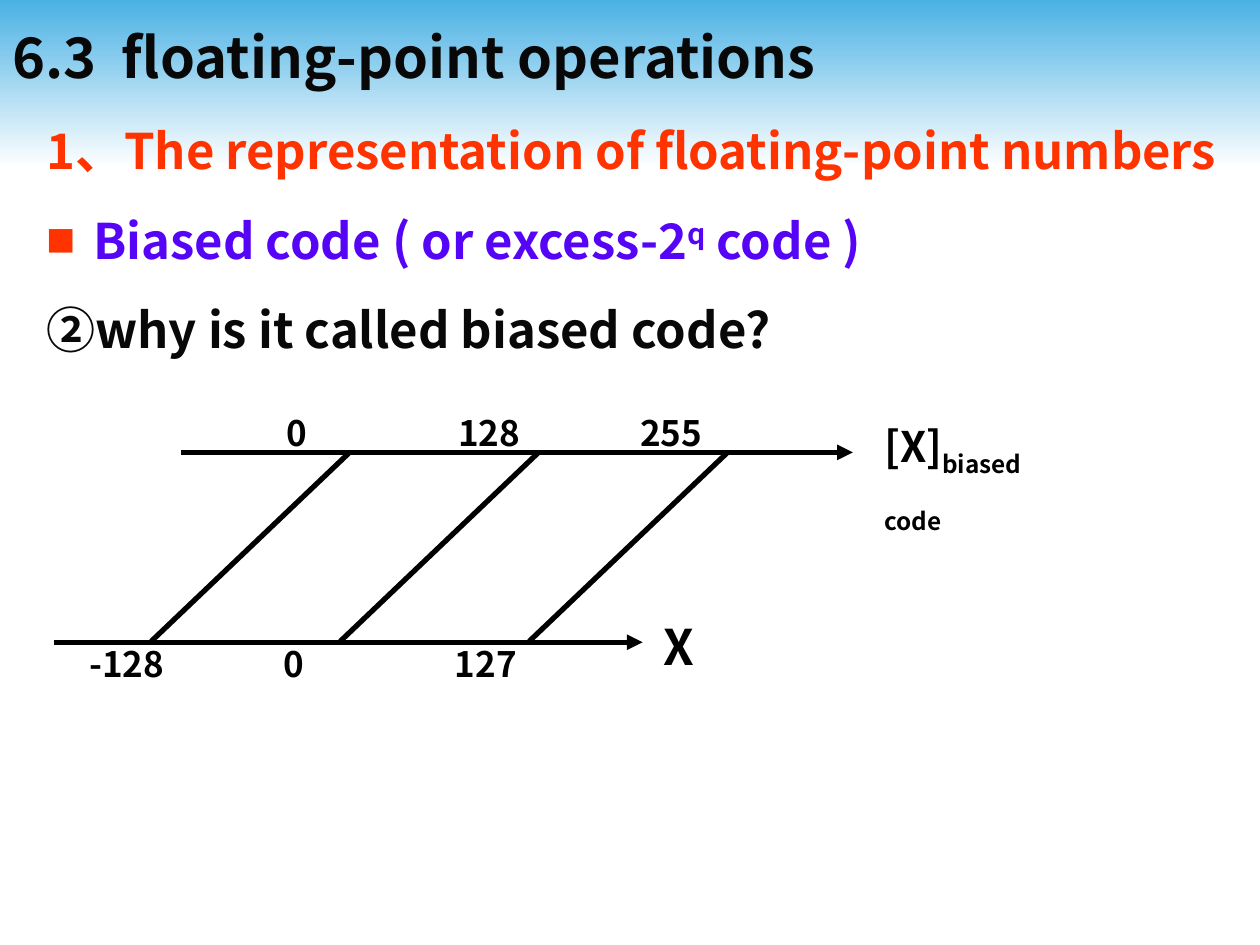
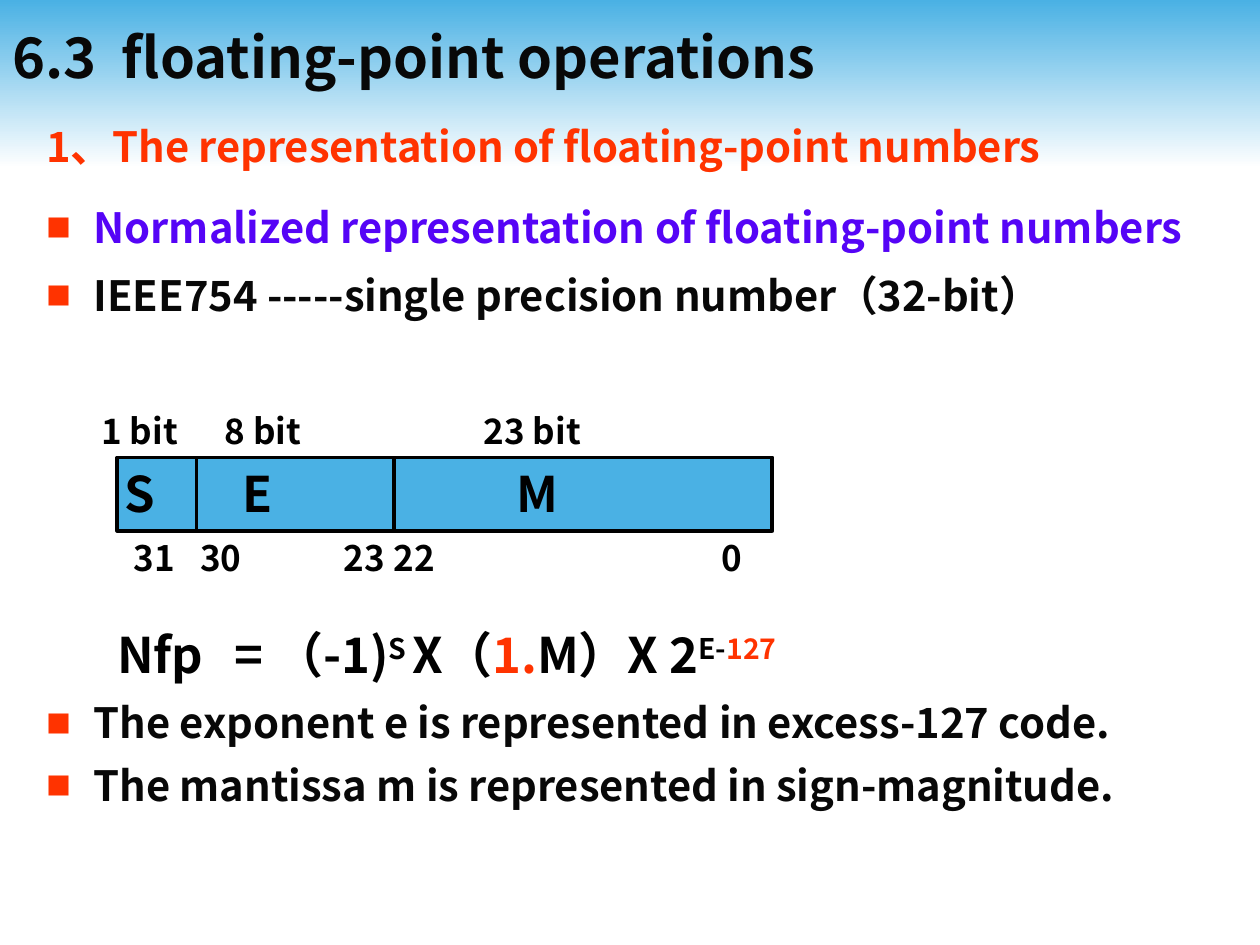
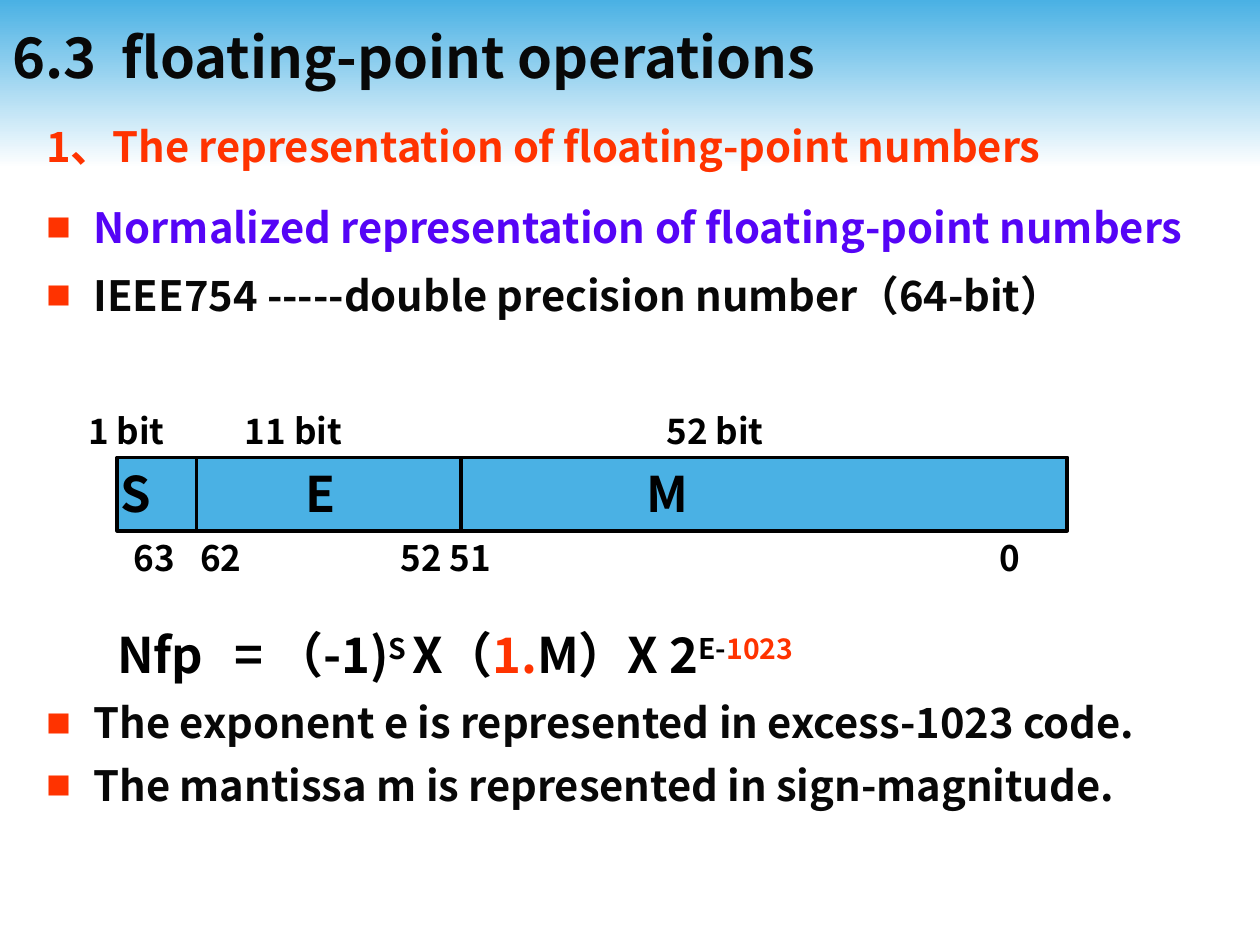
from dataclasses import dataclass

from lxml.etree import SubElement
from pptx import Presentation
from pptx.dml.color import RGBColor as RGB
from pptx.enum.shapes import MSO_CONNECTOR as CONN, MSO_SHAPE as SHAPE
from pptx.enum.text import MSO_ANCHOR as ANCHOR, PP_ALIGN as ALIGN
from pptx.oxml.ns import qn
from pptx.util import Pt


@dataclass(frozen=True)
class Theme:
    font: str = "Noto Sans CJK JP"
    sky: str = "4AB1E4"
    white: str = "FFFFFF"
    black: str = "000000"
    ink: str = "080808"
    red: str = "FF3300"
    violet: str = "5504F6"
    title: float = 32
    large: float = 28
    medium: float = 24
    body: float = 23.8
    small: float = 20
    leading: float = 1.2
    inset: float = 7.2
    indent: float = 27


T = Theme()
TITLE = "6.3\tfloating-point operations"
HEADING = "1、The representation of floating-point numbers"


def add_run(p, text, size=T.small, color=T.black, base=0):
    """Add bold text; base raises or lowers it, in percent."""
    r = p.add_run()
    r.text = text
    r.font.size, r.font.bold, r.font.name = Pt(size), True, T.font
    r.font.color.rgb = RGB.from_string(color)
    rPr = r._r.get_or_add_rPr()
    SubElement(rPr, qn("a:ea"), typeface=T.font)
    if base:
        rPr.set("baseline", str(base * 1000))


class Deck:
    def __init__(self):
        self.prs = Presentation()
        self.prs.slide_width, self.prs.slide_height = Pt(720), Pt(540)
        self.layout = self.prs.slide_layouts[5]
        self.s = None

    def slide(self, title):
        first = self.s is None
        self.s = self.prs.slides.add_slide(self.layout)
        if first:
            self.band()
        sp = self.s.shapes.title
        sp.left, sp.top, sp.width, sp.height = Pt(0), Pt(3.6), Pt(720), Pt(56.9)
        tf = sp.text_frame
        tf.vertical_anchor = ANCHOR.MIDDLE
        self.paragraph(tf.paragraphs[0], [title], T.title, T.ink, tabs=[62.5])

    def band(self):
        """Put the gradient band behind everything in the shared layout."""
        sp = self.box(0, 0, 720, 96)
        sp.line.fill.background()
        sp.fill.gradient()
        sp.fill.gradient_angle = 270
        for stop, color, pos in zip(sp.fill.gradient_stops, (T.sky, T.white), (0, 1)):
            stop.color.rgb, stop.position = RGB.from_string(color), pos
        self.layout.shapes.element.insert(2, sp.element)

    def box(self, x, y, w, h):
        sp = self.s.shapes.add_shape(SHAPE.RECTANGLE, Pt(x), Pt(y), Pt(w), Pt(h))
        sp.shadow.inherit = False
        sp.fill.solid()
        sp.fill.fore_color.rgb = RGB.from_string(T.sky)
        sp.line.color.rgb = RGB.from_string(T.black)
        sp.line.width = Pt(2.25)
        return sp

    def line(self, x1, y1, x2, y2, width=3, arrow=False):
        c = self.s.shapes.add_connector(CONN.STRAIGHT, Pt(x1), Pt(y1), Pt(x2), Pt(y2))
        c.line.color.rgb = RGB.from_string(T.black)
        c.line.width = Pt(width)
        if arrow:
            SubElement(c.line._get_or_add_ln(), qn("a:tailEnd"), type="triangle")
        SubElement(c.element.spPr, qn("a:effectLst"))

    def paragraph(self, p, runs, size, color=T.black, before=0, hang=False,
                  bullet=False, tabs=(), leading=T.leading):
        """Fill p with runs, each a string or a (string, format) pair."""
        pPr = p._p.get_or_add_pPr()
        if hang:
            pPr.set("marL", str(Pt(T.indent)))
            pPr.set("indent", str(-Pt(T.indent)))
        if bullet:
            SubElement(SubElement(pPr, qn("a:buClr")), qn("a:srgbClr"), val=T.red)
            SubElement(pPr, qn("a:buSzPct"), val="60000")
            SubElement(pPr, qn("a:buFont"), typeface=T.font)
            SubElement(pPr, qn("a:buChar"), char="■")
        if tabs:
            tab_list = SubElement(pPr, qn("a:tabLst"))
            for x in tabs:
                SubElement(tab_list, qn("a:tab"), pos=str(Pt(x)), algn="l")
        p.alignment = ALIGN.LEFT
        p.space_before = Pt(before)
        p.line_spacing = Pt(size * leading)
        for run in runs:
            text, fmt = (run, {}) if isinstance(run, str) else run
            add_run(p, text, **{"size": size, "color": color, **fmt})

    def frame(self, x, y, w, h):
        tf = self.s.shapes.add_textbox(Pt(x), Pt(y), Pt(w), Pt(h)).text_frame
        tf.word_wrap = True
        return tf

    def text(self, x, y, w, runs, size, **fmt):
        tf = self.frame(x, y, w, size * T.leading + T.inset)
        self.paragraph(tf.paragraphs[0], runs, size, **fmt)

    def row(self, y, labels, size=T.small):
        """Set labels, as (x, text) pairs, on one line with tab stops."""
        xs, words = zip(*labels)
        stops = [x - xs[0] for x in xs[1:]]
        self.text(xs[0] - T.inset, y, stops[-1] + 4 * size + 2 * T.inset,
                  ["\t".join(words)], size, tabs=stops)

    def body(self, size, items):
        """Write body paragraphs given as (runs, format) pairs."""
        tf = self.frame(19.4, 65.5, 686, 474.5)
        for i, (runs, fmt) in enumerate(items):
            p = tf.add_paragraph() if i else tf.paragraphs[0]
            self.paragraph(p, runs, size, hang=True, **{"color": T.ink, **fmt})


def biased_code_slide(d):
    d.slide(TITLE)
    d.body(T.large, [
        ([HEADING], dict(color=T.red)),
        (["Biased code ( or excess-2", ("q", dict(base=30)), " code )"],
         dict(color=T.violet, before=17.5, bullet=True)),
        (["②why is it called biased code?"], dict(before=17.5)),
    ])
    # Number axes and the lines that map one onto the other
    top, bottom = 258.5, 367
    d.line(103.7, top, 487.4, top, arrow=True)
    d.line(31, bottom, 367.2, bottom, arrow=True)
    for i in range(3):
        x = 86.4 + 108 * i
        d.line(x, bottom - 0.5, x + 113.4, top)
    # Axis values and names
    d.row(231.8, [(164, "0"), (262, "128"), (366, "255")])
    d.row(363.6, [(51, "-128"), (162, "0"), (260, "127")])
    d.text(498.2, 237, 115, ["[X]", ("biased code", dict(base=-25))],
           T.medium, leading=1.36)
    d.text(372.2, 348.5, 40, ["X"], T.large)


def ieee_slide(d, precision, bits, bias, width, divider, sizes, fields, indices):
    d.slide(TITLE)
    d.body(T.body, [
        ([HEADING], dict(color=T.red)),
        (["Normalized representation of floating-point numbers"],
         dict(color=T.violet, before=17.5, bullet=True)),
        ([f"IEEE754 -----{precision} precision number（{bits}-bit）"],
         dict(before=10.5, bullet=True)),
        ([f"The exponent e is represented in excess-{bias} code."],
         dict(before=215.7, bullet=True)),
        (["The mantissa m is represented in sign-magnitude."],
         dict(before=7, bullet=True)),
    ])
    # Value formula
    up, red = dict(base=30), dict(color=T.red)
    d.text(59.8, 353.5, 493, [
        "Nfp\t= （-1)", ("S ", up), "X（", ("1.", red), "M）X 2",
        ("E-", up), (str(bias), {**up, **red})], T.large, tabs=[67])
    # Word format: sign, exponent, mantissa
    y, h = 261.4, 41.8
    d.box(67, y, width, h)
    for x in (112.3, divider):
        d.line(x, y, x, y + h, width=2.25)
    d.row(y, fields, T.large)
    d.row(303, indices)
    d.row(230.4, sizes)


def main():
    d = Deck()
    biased_code_slide(d)
    ieee_slide(
        d, "single", 32, 127, width=374.4, divider=225.4,
        sizes=[(58, "1 bit"), (128.5, "8 bit"), (276.5, "23 bit")],
        fields=[(71.3, "S"), (138.5, "E"), (295.5, "M")],
        indices=[(76.5, "31"), (114.5, "30"), (196.5, "23"), (225, "22"), (412.5, "0")])
    ieee_slide(
        d, "double", 64, 1023, width=542.9, divider=263.5,
        sizes=[(50.5, "1 bit"), (140, "11 bit"), (381, "52 bit")],
        fields=[(69, "S"), (175, "E"), (369.5, "M")],
        indices=[(76.5, "63"), (114.5, "62"), (229, "52"), (257, "51"), (571, "0")])
    d.prs.save("out.pptx")


if __name__ == "__main__":
    main()
